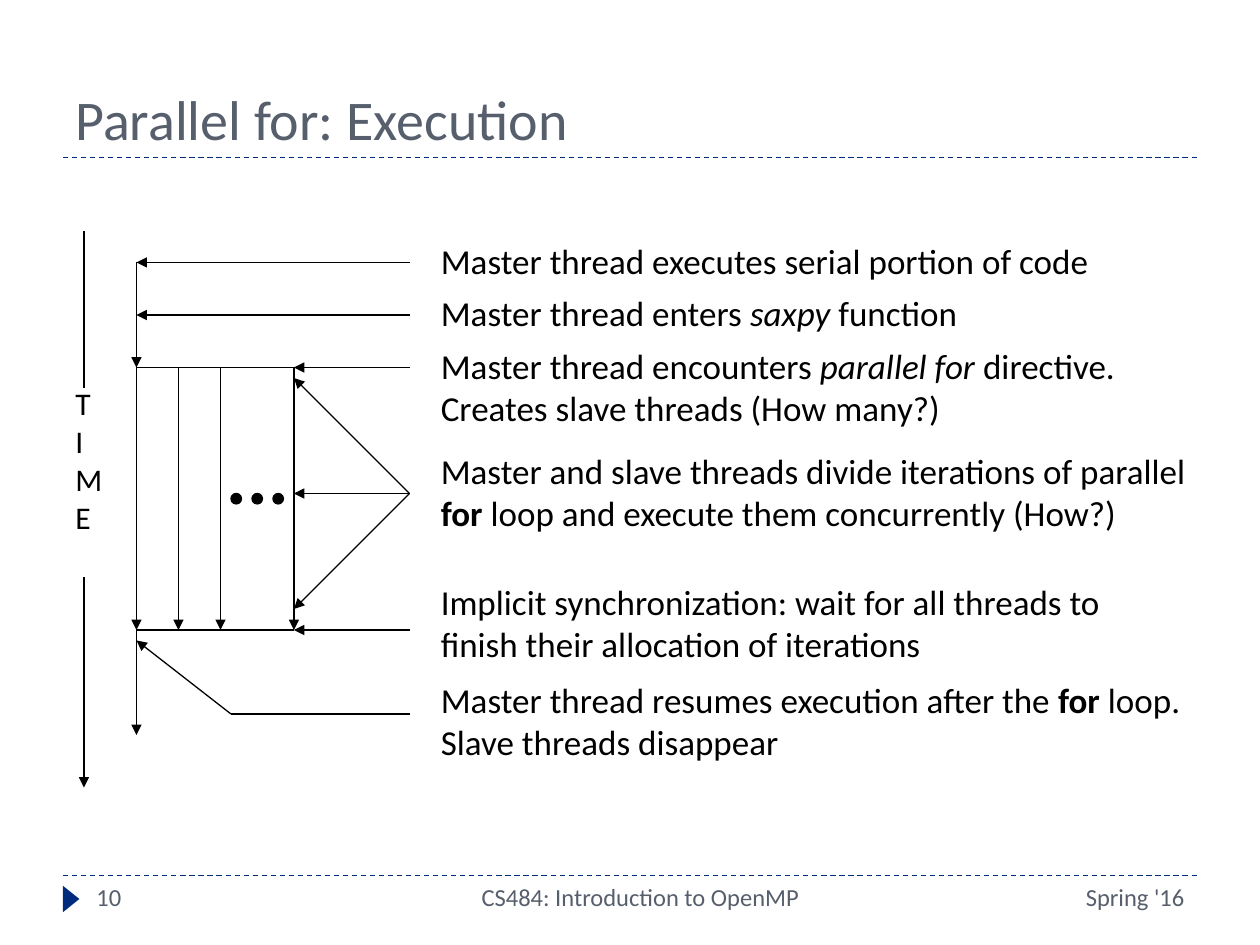
from pptx import Presentation
from pptx.dml.color import RGBColor
from pptx.enum.dml import MSO_LINE
from pptx.enum.shapes import MSO_CONNECTOR, MSO_SHAPE
from pptx.enum.text import MSO_ANCHOR, PP_ALIGN
from pptx.oxml.ns import qn
from pptx.util import Pt
from lxml import etree

BLACK = RGBColor(0x00, 0x00, 0x00)
NAVY = RGBColor(0x00, 0x2A, 0x7E)
SLATE = RGBColor(0x57, 0x5F, 0x6D)

prs = Presentation()
prs.slide_width, prs.slide_height = Pt(720), Pt(540)
slide = prs.slides.add_slide(prs.slide_layouts[6])
shapes = slide.shapes


def add_line(x1, y1, x2, y2, arrow=False, color=BLACK):
    """Draw a thin line, with an arrowhead at its end on request."""
    line = shapes.add_connector(MSO_CONNECTOR.STRAIGHT, Pt(x1), Pt(y1), Pt(x2), Pt(y2))
    line.line.color.rgb = color
    line.line.width = Pt(0.75)
    if arrow:
        etree.SubElement(line.line._get_or_add_ln(), qn("a:tailEnd"), type="triangle")
    etree.SubElement(line._element.spPr, qn("a:effectLst"))
    return line


def add_text(x, y, w, h, text, size, color=BLACK, align=PP_ALIGN.LEFT, style=None):
    """Add a text box; parts between bars take the style, bold or italic."""
    frame = shapes.add_textbox(Pt(x), Pt(y), Pt(w), Pt(h)).text_frame
    frame.word_wrap = True
    frame.text = text
    for para in frame.paragraphs:
        para.alignment = align
        parts = para.text.split("|")
        para.text = parts[0]
        for part in parts[1:]:
            para.add_run().text = part
        for i, run in enumerate(para.runs[-len(parts):]):
            run.font.name = "Calibri"
            run.font.size = Pt(size)
            run.font.color.rgb = color
            if style and part_is_set(i, parts):
                setattr(run.font, style, True)
    return frame


# Odd parts are the marked ones, counted back from the last run
part_is_set = lambda i, parts: (i + len(parts) - len([p for p in parts if p or p is not parts[0]])) % 2 == 1

# Dashed rules and the marker in the footer
for y in (90, 500.4):
    add_line(36, y, 684, y, color=NAVY).line.dash_style = MSO_LINE.DASH
mark = shapes.add_shape(MSO_SHAPE.ISOSCELES_TRIANGLE, Pt(33.1), Pt(509), Pt(15.1), Pt(9.4))
mark.rotation = 90
mark.shadow.inherit = False
mark.fill.solid()
mark.fill.fore_color.rgb = NAVY
mark.line.fill.background()

# Title and footer
title = add_text(36, 12.2, 648, 77.8, "Parallel for: Execution", 32, SLATE)
title.vertical_anchor = MSO_ANCHOR.BOTTOM
for x, w, text, align in (
    (48, 156, "10", PP_ALIGN.LEFT),
    (228, 276, "CS484: Introduction to OpenMP", PP_ALIGN.CENTER),
    (504, 180, "Spring '16", PP_ALIGN.RIGHT),
):
    add_text(x, 500.4, w, 28.8, text, 14, SLATE, align)

# Time axis
add_text(36, 216, 36, 122.4, "T\nI\nM\nE", 18).word_wrap = False
add_line(48, 132, 48, 222)
add_line(48, 330, 48, 450, arrow=True)

# Threads between fork and join
MAIN, LAST, NOTE = 78, 168, 234
FORK, MID, JOIN = 210, 282, 360
add_line(MAIN, 150, MAIN, FORK, arrow=True)
add_line(MAIN, JOIN, MAIN, 420, arrow=True)
for y in (FORK, JOIN):
    add_line(MAIN, y, LAST, y)
for x in (MAIN, 102, 126, LAST):
    add_line(x, FORK, x, JOIN, arrow=True)
for x in (132, 144, 156):
    dot = shapes.add_shape(MSO_SHAPE.OVAL, Pt(x), Pt(MID), Pt(6), Pt(6))
    dot.shadow.inherit = False
    dot.fill.solid()
    dot.fill.fore_color.rgb = BLACK
    dot.line.color.rgb = BLACK
    dot.line.width = Pt(0.75)

# Pointers from the notes to the threads
for y in (150, 180):
    add_line(NOTE, y, MAIN, y, arrow=True)
for y in (FORK, MID, JOIN):
    add_line(NOTE, y, LAST, y, arrow=True)
for y in (216, 348):
    add_line(NOTE, MID, LAST, y, arrow=True)
add_line(132, 408, MAIN, 366, arrow=True)
add_line(132, 408, NOTE, 408)

# Notes
for y, w, h, style, text in (
    (133.2, 389, 31.5, None, "Master thread executes serial portion of code"),
    (163.2, 331, 31.5, "italic", "Master thread enters |saxpy |function"),
    (193.2, 405.5, 55.5, "italic",
     "Master thread encounters |parallel for |directive.\nCreates slave threads (How many?)"),
    (253.2, 451, 55.5, "bold",
     "Master and slave threads divide iterations of parallel\n"
     "|for |loop and execute them concurrently (How?)"),
    (328.2, 412.5, 55.5, None,
     "Implicit synchronization: wait for all threads to\nfinish their allocation of iterations"),
    (384, 445, 55.5, "bold",
     "Master thread resumes execution after the |for |loop.\nSlave threads disappear"),
):
    add_text(244.8, y, w, h, text, 20, style=style)

prs.save("out.pptx")
